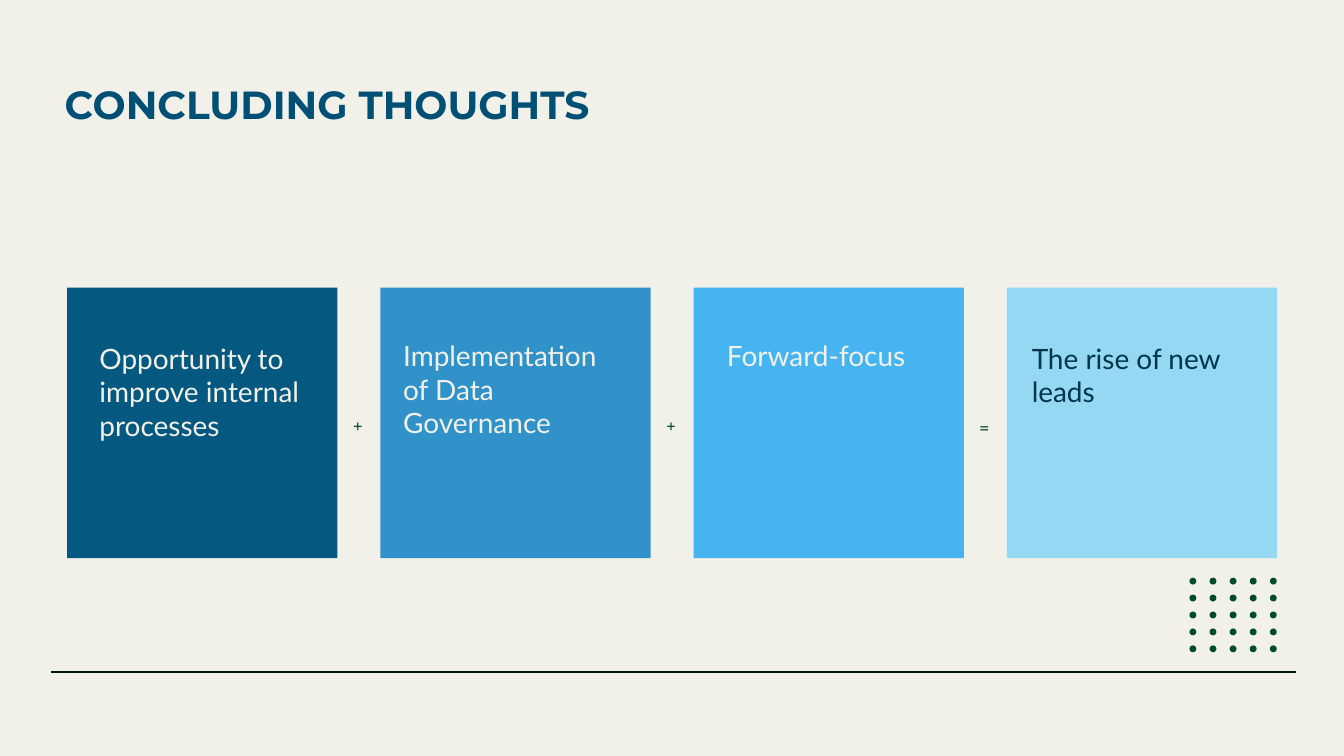
from itertools import product

from lxml.etree import SubElement
from pptx import Presentation
from pptx.dml.color import RGBColor
from pptx.enum.shapes import MSO_CONNECTOR as Connector, MSO_SHAPE as Preset
from pptx.enum.text import MSO_ANCHOR as Anchor, MSO_AUTO_SIZE as AutoSize, PP_ALIGN as Align
from pptx.oxml.ns import qn
from pptx.util import Cm, Pt

CREAM, GREEN, RULE = "F1F1E9", "004A2E", "00160D"
TITLE_FONT = {"name": "Montserrat", "size": Pt(21), "bold": True}
CAPTION_FONT = {"name": "Lato", "size": Pt(15)}
SIGN_FONT = {"name": "DejaVu Sans Mono", "size": Pt(8)}
FRAME_FORMAT = {
    "word_wrap": True, "auto_size": AutoSize.NONE, "vertical_anchor": Anchor.TOP,
    "margin_left": Cm(0.25), "margin_right": Cm(0.25),
    "margin_top": Cm(0.25), "margin_bottom": Cm(0.25),
}

# Card fill, caption, caption colour, caption box (left, top, width, height in cm)
CARDS = [
    ("05587F", "Opportunity to improve internal processes", CREAM, (1.63, 6.2, 4.34, 3.68)),
    ("3092C8", "Implementation of Data Governance", CREAM, (7.37, 6.15, 4.34, 3.68)),
    ("46B4F1", "Forward-focus", CREAM, (13.49, 6.15, 4.34, 3.81)),
    ("94D8F3", "The rise of new leads", "00354A", (19.25, 6.2, 4.34, 3.23)),
]
CARD_LEFT, CARD_TOP, CARD_SIZE, CARD_PITCH = 1.27, 5.44, 5.11, 5.92

# Sign between cards and its top in cm
SIGNS = [("+", 7.62), ("+", 7.62), ("=", 7.67)]
SIGN_LEFT = 6.43


def rgb(color):
    return RGBColor.from_string(color)


def apply(target, values):
    for key, value in values.items():
        setattr(target, key, value)


def write(holder, text, font, color):
    frame = holder.text_frame
    frame.text = text
    apply(frame, FRAME_FORMAT)
    line = frame.paragraphs[0]
    line.alignment = Align.LEFT
    apply(line.runs[0].font, font)
    line.runs[0].font.color.rgb = rgb(color)


def add_title(slide, text, color):
    title = slide.shapes.title
    apply(title, {"left": Cm(0.97), "top": Cm(1.27), "width": Cm(13.82), "height": Cm(2.18)})
    write(title, text, TITLE_FONT, color)


def add_text(slide, text, box, font, color):
    write(slide.shapes.add_textbox(*map(Cm, box)), text, font, color)


def add_solid(shapes, preset, left, top, size, color):
    solid = shapes.add_shape(preset, Cm(left), Cm(top), Cm(size), Cm(size))
    solid.shadow.inherit = False
    solid.fill.solid()
    solid.fill.fore_color.rgb = rgb(color)
    solid.line.fill.background()


def add_rule(slide, left, right, y):
    rule = slide.shapes.add_connector(Connector.STRAIGHT, Cm(left), Cm(y), Cm(right), Cm(y))
    rule.line.color.rgb = rgb(RULE)
    rule.line.width = Pt(0.75)
    SubElement(rule._element.spPr, qn("a:effectLst"))


def add_dot_grid(slide, left, top, count=5):
    dots = slide.shapes.add_group_shape().shapes
    for row, column in product(range(count), repeat=2):
        add_solid(dots, Preset.OVAL, left + column * 0.38, top + row * 0.32, 0.13, GREEN)


def main():
    deck = Presentation()
    deck.slide_width, deck.slide_height = Cm(25.4), Cm(14.29)
    slide = deck.slides.add_slide(deck.slide_layouts[5])
    slide.background.fill.solid()
    slide.background.fill.fore_color.rgb = rgb(CREAM)

    add_title(slide, "CONCLUDING THOUGHTS", "005076")

    # Cards with captions
    for index, (fill, caption, color, box) in enumerate(CARDS):
        card_left = CARD_LEFT + index * CARD_PITCH
        add_solid(slide.shapes, Preset.RECTANGLE, card_left, CARD_TOP, CARD_SIZE, fill)
        add_text(slide, caption, box, CAPTION_FONT, color)

    # Signs in the gaps
    for index, (sign, top) in enumerate(SIGNS):
        box = (SIGN_LEFT + index * CARD_PITCH, top, 0.69, 0.71)
        add_text(slide, sign, box, SIGN_FONT, GREEN)

    # Footer decoration
    add_rule(slide, 0.97, 24.49, 12.7)
    add_dot_grid(slide, 22.48, 10.92)

    deck.save("out.pptx")


if __name__ == "__main__":
    main()
